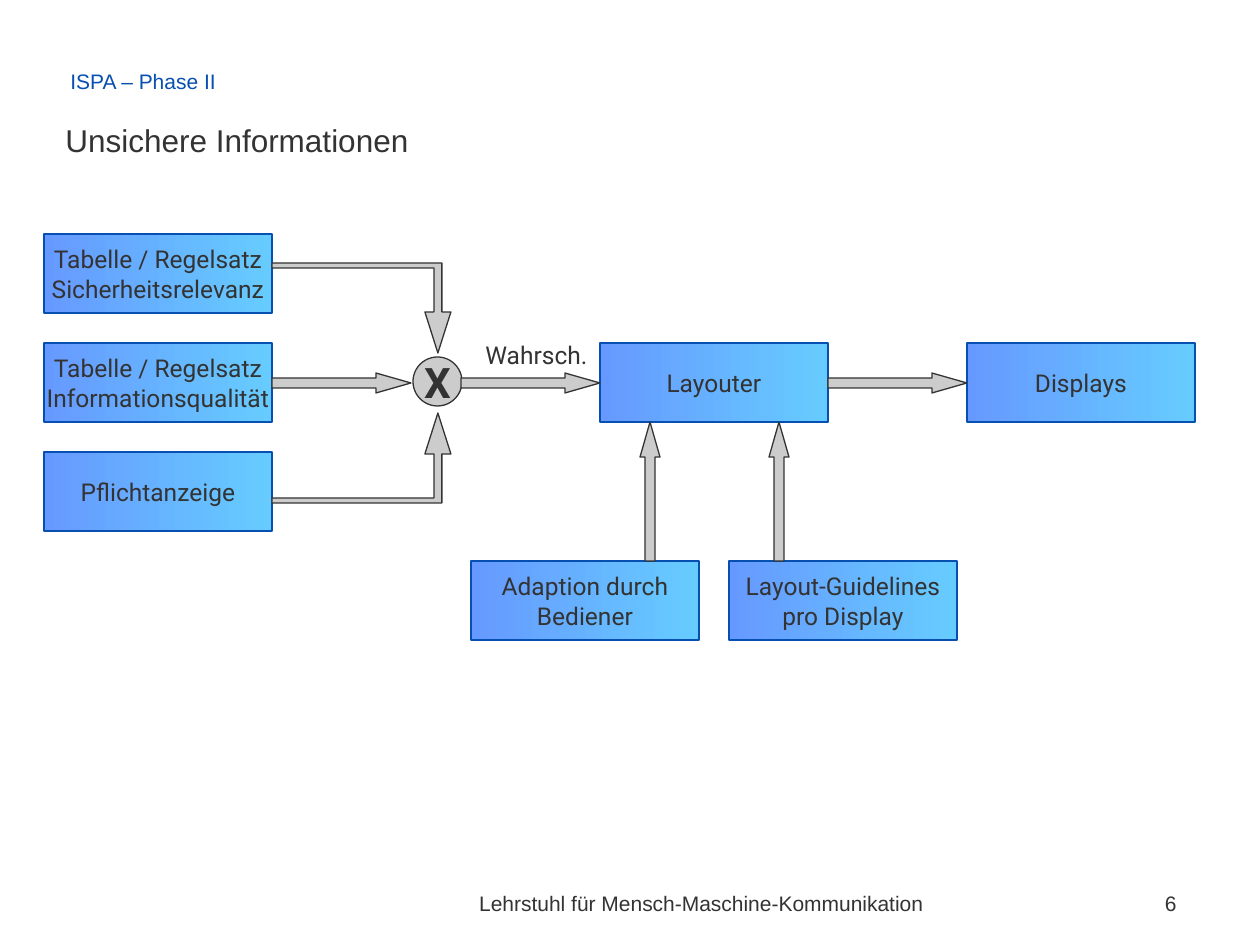
from pptx import Presentation
from pptx.dml.color import RGBColor
from pptx.enum.shapes import MSO_SHAPE
from pptx.enum.text import MSO_ANCHOR, MSO_AUTO_SIZE, PP_ALIGN
from pptx.util import Pt

EMU_PER_PX = 914400 / 126
BLUE = RGBColor(0x07, 0x4F, 0xB0)
INK = RGBColor(0x33, 0x33, 0x33)
GREY = RGBColor(0xCC, 0xCC, 0xCC)
SKY = RGBColor(0x66, 0xCC, 0xFF)
CORNFLOWER = RGBColor(0x66, 0x99, 0xFF)

BOX_WIDTH, BOX_HEIGHT = 228, 79
ARROW_LENGTH, ARROW_HEIGHT = 139, 20
INPUT_LEFT, INPUT_TOP, INPUT_STEP = 44, 234, 109
FLOW_TOP = INPUT_TOP + INPUT_STEP
FLOW_AXIS = 383
SUPPORT_TOP = FLOW_TOP + BOX_HEIGHT + ARROW_LENGTH


def px(length):
    return round(length * EMU_PER_PX)


class Diagram:
    body_font = "Roboto"
    frame_font = "Arial"

    def __init__(self, page):
        self.page = page

    def set_text(self, shape, text, font, size, color=INK, align=PP_ALIGN.CENTER,
                 anchor=MSO_ANCHOR.MIDDLE, wrap=False, bold=False, before=0):
        frame = shape.text_frame
        frame.word_wrap = wrap
        frame.vertical_anchor = anchor
        frame.text = text
        for para in frame.paragraphs:
            para.alignment = align
            para.space_before = Pt(before)
            para.font.name = font
            para.font.size = Pt(size)
            para.font.bold = bold
            para.font.color.rgb = color

    def label(self, area, text, font, size, grow=True, **style):
        box = self.page.shapes.add_textbox(*map(px, area))
        self.set_text(box, text, font, size, **style)
        if grow:
            box.text_frame.auto_size = MSO_AUTO_SIZE.SHAPE_TO_FIT_TEXT

    def outline(self, shape, color):
        shape.shadow.inherit = False
        shape.line.color.rgb = color
        shape.line.width = Pt(0.75)

    def paint_grey(self, shape):
        shape.fill.solid()
        shape.fill.fore_color.rgb = GREY
        self.outline(shape, INK)

    def preset(self, kind, *area):
        return self.page.shapes.add_shape(kind, *map(px, area))

    def box(self, left, top, text):
        shape = self.preset(MSO_SHAPE.RECTANGLE, left, top, BOX_WIDTH, BOX_HEIGHT)
        shape.fill.gradient()
        shape.fill.gradient_angle = 180
        for stop, color in zip(shape.fill.gradient_stops, (SKY, CORNFLOWER)):
            stop.color.rgb = color
        self.outline(shape, BLUE)
        self.set_text(shape, text, self.body_font, 14)

    def node(self, left, top, size, text):
        shape = self.preset(MSO_SHAPE.OVAL, left, top, size, size)
        self.paint_grey(shape)
        self.set_text(shape, text, self.body_font, 24, bold=True)

    def arrow(self, center_x, center_y, rotation=0):
        shape = self.preset(MSO_SHAPE.RIGHT_ARROW, center_x - ARROW_LENGTH / 2,
                            center_y - ARROW_HEIGHT / 2, ARROW_LENGTH, ARROW_HEIGHT)
        shape.adjustments[0] = 0.5
        shape.adjustments[1] = 1.75
        shape.rotation = rotation
        self.paint_grey(shape)

    def elbow(self, points):
        builder = self.page.shapes.build_freeform(*points[0], scale=EMU_PER_PX)
        builder.add_line_segments(points[1:], close=True)
        self.paint_grey(builder.convert_to_shape())


def main():
    deck = Presentation()
    deck.slide_width, deck.slide_height = px(1260), px(945)
    page = deck.slides.add_slide(deck.slide_layouts[6])
    diagram = Diagram(page)

    diagram.label((58, 62, 336, 38), "ISPA – Phase II", diagram.frame_font, 12, color=BLUE,
                  align=PP_ALIGN.LEFT, anchor=MSO_ANCHOR.BOTTOM, wrap=True, before=7.5)
    diagram.label((53, 115, 368, 50), "Unsichere Informationen", diagram.frame_font, 18,
                  align=PP_ALIGN.LEFT, anchor=MSO_ANCHOR.TOP)

    diagram.node(413, 357, 49, "X")
    inputs = ("Tabelle / Regelsatz\nSicherheitsrelevanz",
              "Tabelle / Regelsatz\nInformationsqualität",
              "Pflichtanzeige")
    for row, text in enumerate(inputs):
        diagram.box(INPUT_LEFT, INPUT_TOP + row * INPUT_STEP, text)

    upper = [(272, 268), (434, 268), (434, 312), (425, 312), (438, 353),
             (451, 312), (442, 312), (442, 263), (272, 263)]
    diagram.elbow(upper)
    diagram.elbow([(x, 2 * FLOW_AXIS - y) for x, y in upper])

    for left, text in ((600, "Layouter"), (967, "Displays")):
        diagram.box(left, FLOW_TOP, text)
    for left, text in ((471, "Adaption durch\nBediener"),
                       (729, "Layout-Guidelines\npro Display")):
        diagram.box(left, SUPPORT_TOP, text)

    for start in (272, 461, 828):
        diagram.arrow(start + ARROW_LENGTH / 2, FLOW_AXIS)
    for center in (650, 779):
        diagram.arrow(center, SUPPORT_TOP - ARROW_LENGTH / 2, rotation=270)
    diagram.label((471, 334, 129, 43), "Wahrsch.", diagram.body_font, 14,
                  align=PP_ALIGN.RIGHT, anchor=MSO_ANCHOR.TOP)

    diagram.label((357, 882, 689, 42), "Lehrstuhl für Mensch-Maschine-Kommunikation",
                  diagram.frame_font, 12, grow=False, wrap=True)
    diagram.label((1066, 882, 123, 42), "6", diagram.frame_font, 12, grow=False,
                  align=PP_ALIGN.RIGHT, wrap=True)
    deck.save("out.pptx")


if __name__ == "__main__":
    main()
